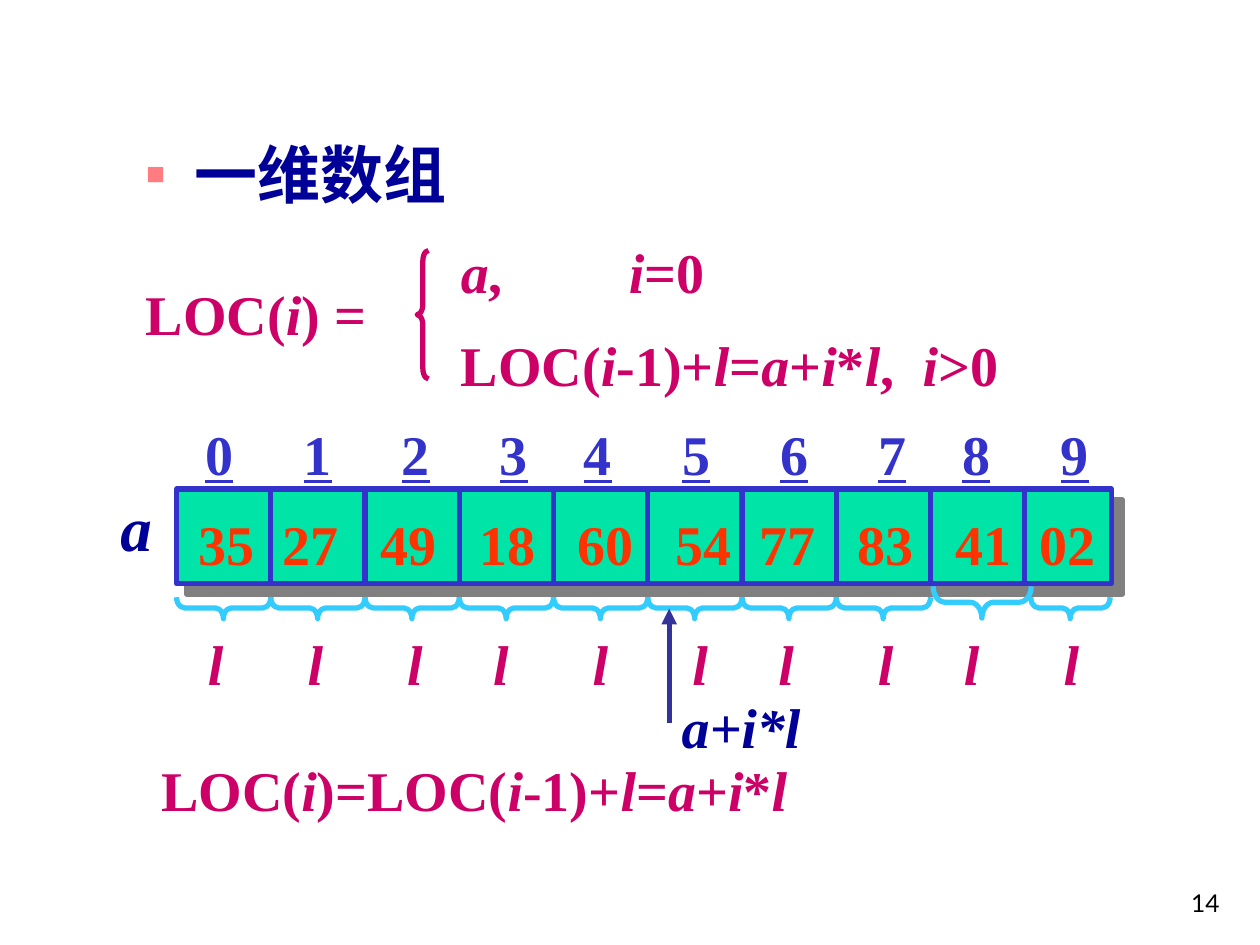
from dataclasses import dataclass
from itertools import accumulate

from lxml import etree
from pptx import Presentation
from pptx.dml.color import RGBColor
from pptx.enum.shapes import MSO_CONNECTOR, MSO_SHAPE
from pptx.enum.text import MSO_ANCHOR, MSO_AUTO_SIZE, PP_ALIGN
from pptx.oxml.ns import qn
from pptx.util import Cm, Pt

RECT, BRACE = MSO_SHAPE.RECTANGLE, MSO_SHAPE.LEFT_BRACE
STRAIGHT = MSO_CONNECTOR.STRAIGHT
TOP, BOTTOM = MSO_ANCHOR.TOP, MSO_ANCHOR.BOTTOM
LEFT, RIGHT = PP_ALIGN.LEFT, PP_ALIGN.RIGHT
NO_AUTOFIT = MSO_AUTO_SIZE.NONE


@dataclass(frozen=True)
class Theme:
    font: str = "Times New Roman"
    number_font: str = "Lato"
    navy: str = "000099"
    blue: str = "3333CC"
    arrow: str = "333399"
    sky: str = "33CCFF"
    green: str = "00E4A8"
    orange: str = "FF3300"
    magenta: str = "CC0066"
    bullet: str = "FF7C80"
    shadow: str = "808080"
    black: str = "000000"
    heading: int = 36
    body: int = 32
    small: int = 14
    line: int = 3


def add_xml(parent, tag, **attrs):
    return etree.SubElement(parent, qn(tag), attrs)


def step_stops(steps, short, long, lead=0):
    """Tab stops for a row whose gaps are spelled S (short) or L (long)."""
    gaps = [long if step == "L" else short for step in steps]
    stops = list(accumulate(gaps, initial=lead))
    return stops if lead else stops[1:]


class SlideBuilder:
    def __init__(self, slide, theme):
        self.slide, self.theme = slide, theme

    def stroke(self, line, color):
        line.color.rgb = RGBColor.from_string(color)
        line.width = Pt(self.theme.line)

    def frame(self, s, anchor=TOP):
        tf = s.text_frame
        tf.word_wrap = True
        tf.auto_size = NO_AUTOFIT
        tf.vertical_anchor = anchor
        tf.margin_top = Cm(0.22)
        return tf

    def style(self, font, color, size, name=None, bold=True):
        font.name = name or self.theme.font
        font.size = Pt(size)
        font.bold = bold
        font.color.rgb = RGBColor.from_string(color)

    def text(self, box, text, color, size=None, stops=(), underline=False):
        """Add a line of text; underscores switch italics on and off."""
        s = self.slide.shapes.add_textbox(*map(Cm, box))
        p = self.frame(s).paragraphs[0]
        if stops:
            tabs = add_xml(p._p.get_or_add_pPr(), "a:tabLst")
            for stop in stops:
                add_xml(tabs, "a:tab", pos=str(Cm(stop)), algn="l")
        for i, part in enumerate(text.split("_")):
            if part:
                r = p.add_run()
                r.text = part
                self.style(r.font, color, size or self.theme.body)
                r.font.italic = i % 2 == 1
                r.font.underline = underline

    def page_number(self, box, text):
        s = self.slide.shapes.add_textbox(*map(Cm, box))
        tf = self.frame(s, BOTTOM)
        tf.text = text
        p = tf.paragraphs[0]
        p.alignment = RIGHT
        self.style(p.runs[0].font, self.theme.black, self.theme.small,
                   self.theme.number_font, bold=False)

    def bullet_heading(self, box, text):
        s = self.slide.placeholders[1]
        s.left, s.top, s.width, s.height = map(Cm, box)
        tf = self.frame(s)
        tf.text = text
        p = tf.paragraphs[0]
        p.alignment = LEFT
        p.space_before = Pt(0)
        pPr = p._p.get_or_add_pPr()
        pPr.set("marL", str(Cm(0.97)))
        pPr.set("indent", str(-Cm(0.97)))
        add_xml(add_xml(pPr, "a:buClr"), "a:srgbClr", val=self.theme.bullet)
        add_xml(pPr, "a:buSzPct", val="50000")
        add_xml(pPr, "a:buChar", char="■")
        self.style(p.runs[0].font, self.theme.navy, self.theme.heading)

    def shadowed_bar(self, box):
        s = self.slide.shapes.add_shape(RECT, *map(Cm, box))
        s.fill.solid()
        s.fill.fore_color.rgb = RGBColor.from_string(self.theme.green)
        self.stroke(s.line, self.theme.blue)
        effects = add_xml(s._element.spPr, "a:effectLst")
        shadow = add_xml(effects, "a:outerShdw", blurRad="0", dist=str(Pt(8.5)),
                         dir="2700000", algn="ctr", rotWithShape="0")
        add_xml(shadow, "a:srgbClr", val=self.theme.shadow)

    def brace(self, box, color, curve, middle):
        s = self.slide.shapes.add_shape(BRACE, *map(Cm, box))
        s.shadow.inherit = False
        s.fill.background()
        self.stroke(s.line, color)
        s.adjustments[0], s.adjustments[1] = curve, middle
        return s

    def brace_below(self, left, top, span, depth):
        """Draw a brace that lies under a cell and points down."""
        x, y = left + (span - depth) / 2, top + (depth - span) / 2
        s = self.brace((x, y, depth, span), self.theme.sky, 0.375, 0.497)
        s.rotation = 270

    def line(self, ends, color, arrow=False):
        s = self.slide.shapes.add_connector(STRAIGHT, *map(Cm, ends))
        self.stroke(s.line, color)
        if arrow:
            add_xml(s.line._get_or_add_ln(), "a:tailEnd", type="triangle")
        add_xml(s._element.spPr, "a:effectLst")


def main():
    prs = Presentation()
    prs.slide_width, prs.slide_height = Cm(25.4), Cm(19.05)
    slide = prs.slides.add_slide(prs.slide_layouts[1])
    title = slide.shapes.title._element
    title.getparent().remove(title)
    theme = Theme()
    b = SlideBuilder(slide, theme)

    b.page_number((19.56, 17.35, 5.28, 1.27), "14")
    b.bullet_heading((2.69, 2.51, 9.09, 1.91), "一维数组")

    # Array cells
    left, top, pitch, height = 3.56, 9.86, 1.9, 1.91
    b.shadowed_bar((left, top, 18.85, height))
    values = ["35", "27", "49", "18", "60", "54", "77", "83", "41", "02"]
    b.text((3.76, 10.06, 18.75, 1.63), "\t".join(values), theme.orange,
           stops=step_stops("SLLLLSLLS", 1.69, 1.98))
    for i in range(1, len(values)):
        x = left + i * pitch
        b.line((x, top, x, top + height), theme.blue)

    indices = "\t" + "\t".join(str(i) for i in range(len(values)))
    b.text((3.33, 8.23, 19.33, 1.63), indices, theme.blue, underline=True,
           stops=step_stops("LLLSLLLSL", 1.69, 1.98, lead=0.56))

    # Element lengths
    for i in range(8):
        b.brace_below(left + i * pitch, 12.04, pitch, 0.43)
    b.brace_below(18.81, 11.82, 1.98, 0.64)
    b.brace_below(20.78, 12.04, 1.6, 0.43)
    lengths = "\t".join("l" * len(values))
    b.text((3.94, 12.47, 18.59, 1.6), f"_{lengths}_", theme.magenta,
           stops=step_stops("LLSLLSLSL", 1.73, 2.01))

    # Address formulas
    b.text((3, 15.01, 17.65, 1.6), "LOC(_i_)=LOC(_i_-1)+_l_=_a_+_i_*_l_", theme.magenta)
    b.brace((8.41, 5.05, 0.23, 2.59), theme.magenta, 0.926, 0.5)
    b.text((2.69, 5.41, 5.72, 1.6), "LOC(_i_) =", theme.magenta)
    b.text((9.04, 6.45, 14.61, 1.6), "LOC(_i_-1)+_l_=_a_+_i_*_l_,\t_i_>0",
           theme.magenta, stops=[9.31])
    b.text((9.04, 4.57, 6.88, 1.63), "_a_,\t_i_=0", theme.magenta, stops=[3.39])

    # Pointer to element i and the array name
    b.line((13.49, 14.58, 13.49, 12.27), theme.arrow, arrow=True)
    b.text((13.49, 13.74, 3.05, 1.6), "_a+i*l_", theme.navy)
    b.text((2.18, 9.63, 1.14, 1.78), "_a_", theme.navy, theme.heading)

    prs.save("out.pptx")


if __name__ == "__main__":
    main()
